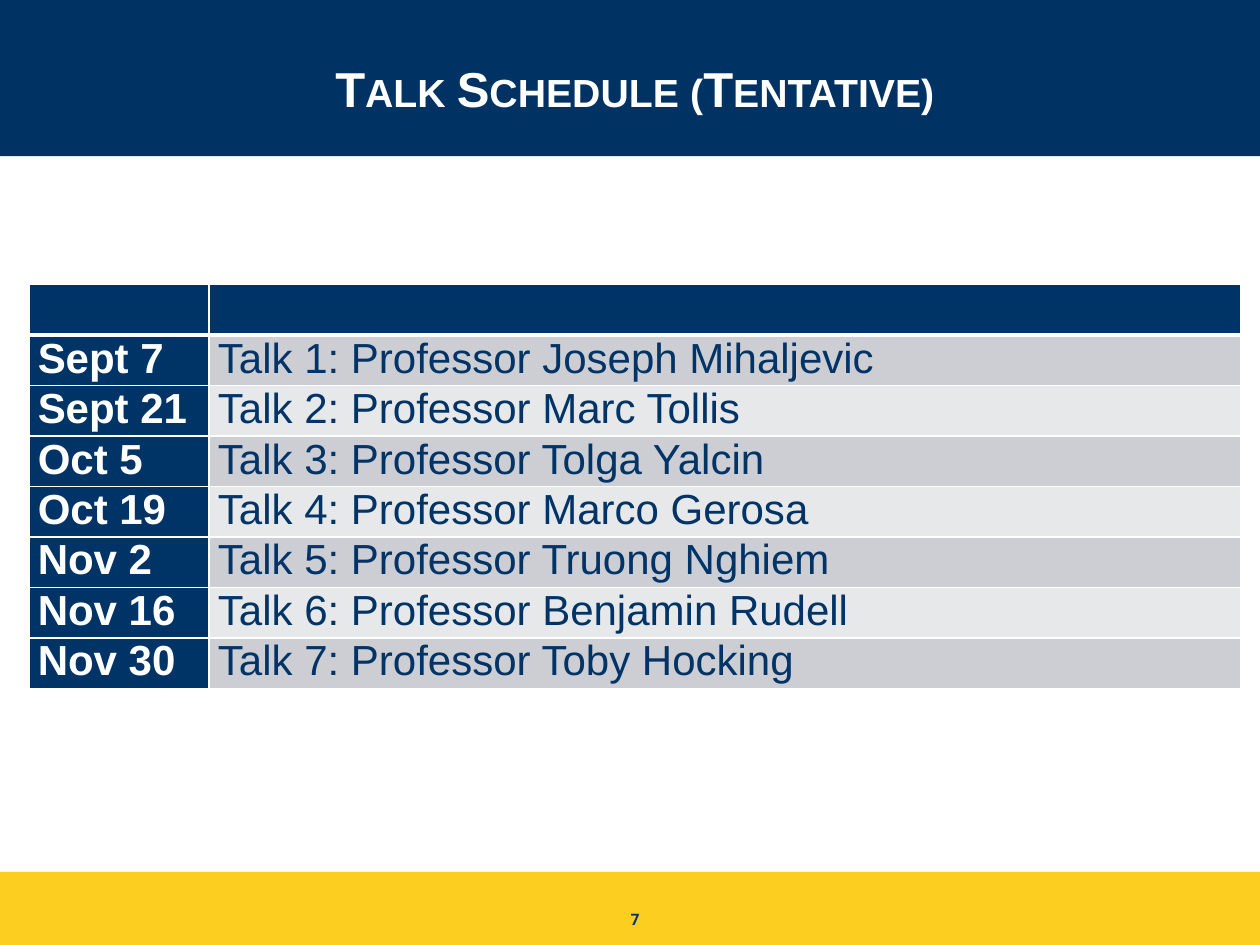
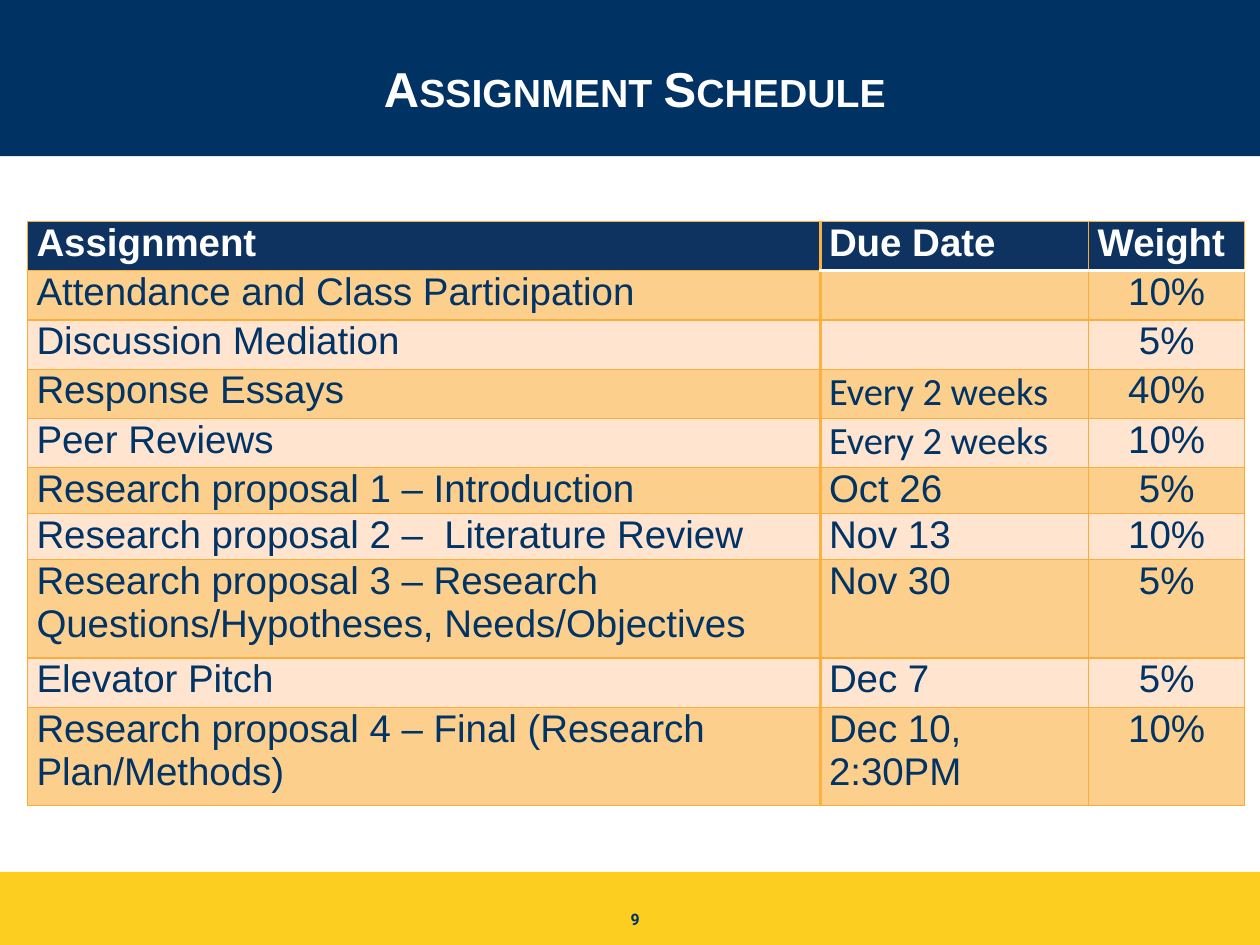
from lxml.etree import SubElement as Sub
from pptx import Presentation
from pptx.dml.color import RGBColor
from pptx.enum.shapes import MSO_SHAPE as Shape
from pptx.enum.text import MSO_ANCHOR as Anchor, PP_ALIGN as Align
from pptx.oxml import parse_xml
from pptx.oxml.ns import nsdecls, qn
from pptx.util import Inches, Pt

NAVY, GOLD, WHITE, INK = "003264", "FBCE20", "FFFFFF", "003366"
GREYS = ("CCCED3", "E7E8EA")
HEAD, AMBER, PEACH, RULE = "0E3361", "FBB040", "FFE5D0", "FAAD3A"

TALKS = [
    ("Sept 7", "Joseph Mihaljevic"),
    ("Sept 21", "Marc Tollis"),
    ("Oct 5", "Tolga Yalcin"),
    ("Oct 19", "Marco Gerosa"),
    ("Nov 2", "Truong Nghiem"),
    ("Nov 16", "Benjamin Rudell"),
    ("Nov 30", "Toby Hocking"),
]

TASKS = [
    ("Assignment", "Due Date", "Weight ", 0.39),
    ("Attendance and Class Participation", "", "10%", 0.39),
    ("Discussion Mediation", "", "5%", 0.39),
    ("Response Essays", "Every 2 weeks", "40%", 0.39),
    ("Peer Reviews", "Every 2 weeks", "10%", 0.39),
    ("Research proposal 1 – Introduction", "Oct 26", "5%", 0.35),
    ("Research proposal 2 –  Literature Review", "Nov 13", "10%", 0.35),
    ("Research proposal 3 – Research Questions/Hypotheses, Needs/Objectives",
     "Nov 30", "5%", 0.78),
    ("Elevator Pitch", "Dec 7", "5%", 0.39),
    ("Research proposal 4 – Final (Research Plan/Methods)",
     "Dec 10, 2:30PM", "10%", 0.78),
]


def rgb(code):
    """Turn a hex string into a colour."""
    return RGBColor.from_string(code)


def write(frame, text, size, color, bold=False, font="Arial", align=Align.LEFT):
    """Add one formatted run to the first paragraph of a text frame."""
    para = frame.paragraphs[0]
    para.alignment = align
    run = para.add_run()
    run.text = text
    run.font.size = Pt(size)
    run.font.name = font
    run.font.bold = bold
    run.font.color.rgb = rgb(color)
    return run


def band(slide, box, color):
    """Draw a plain coloured bar."""
    bar = slide.shapes.add_shape(Shape.RECTANGLE, *map(Inches, box))
    bar.shadow.inherit = False
    bar.fill.solid()
    bar.fill.fore_color.rgb = rgb(color)
    bar.line.fill.background()


def start(deck, name, page):
    """Add a slide with its bands, title and page number."""
    slide = deck.slides.add_slide(deck.slide_layouts[5])
    band(slide, (0, 6.92, 10, 0.58), GOLD)
    band(slide, (0, 0, 10, 1.24), NAVY)
    title = slide.shapes.title
    slide.shapes._spTree.append(title._element)
    title.left, title.top, title.width, title.height = map(
        Inches, (0.5, 0.16, 9.08, 1.08))
    title.text_frame.vertical_anchor = Anchor.MIDDLE
    run = write(title.text_frame, name, 28, WHITE, True, align=Align.CENTER)
    run.font._element.set("cap", "small")
    foot = slide.shapes.add_textbox(*map(Inches, (4, 7.17, 2.08, 0.33)))
    foot.text_frame.word_wrap = True
    write(foot.text_frame, str(page), 9, NAVY, True, "Roboto", Align.CENTER)
    return slide


def grid(slide, box, cols, rows):
    """Add a table with the given column widths and row heights."""
    table = slide.shapes.add_table(
        len(rows), len(cols), *map(Inches, box)).table
    table.horz_banding = False
    for col, wide in zip(table.columns, cols):
        col.width = Inches(wide)
    for row, high in zip(table.rows, rows):
        row.height = Inches(high)
    return table


def paint(cell, color, edges, alpha=None):
    """Set the insets, fill and four edges (left, right, top, bottom)."""
    cell.margin_left = cell.margin_right = Inches(0.07)
    cell.margin_top = cell.margin_bottom = 0
    cell.fill.solid()
    cell.fill.fore_color.rgb = rgb(color)
    props = cell._tc.get_or_add_tcPr()
    if alpha:
        tone = props.find(".//" + qn("a:srgbClr"))
        Sub(tone, qn("a:alpha")).set("val", str(alpha * 1000))
    for spot, (side, (hue, wide)) in enumerate(zip("LRTB", edges)):
        props.insert(spot, parse_xml(
            f'<a:ln{side} {nsdecls("a")} w="{Pt(wide)}"><a:solidFill>'
            f'<a:srgbClr val="{hue}"/></a:solidFill></a:ln{side}>'))


def talks(slide, box):
    """Fill the box with the dates and speakers."""
    rows = [("", "")] + [(day, f"Talk {num}: Professor {name}")
                         for num, (day, name) in enumerate(TALKS, 1)]
    table = grid(slide, box, (1.43, box[2] - 1.43),
                 [0.4] + [0.37] * len(TALKS))
    thin, thick = (WHITE, 1), (WHITE, 3)
    for r, row in enumerate(rows):
        edges = (thin, thin, thick if r == 1 else thin,
                 thick if r == 0 else thin)
        for c, text in enumerate(row):
            cell = table.cell(r, c)
            dark = r == 0 or c == 0
            paint(cell, INK if dark else GREYS[(r - 1) % 2], edges)
            if text:
                write(cell.text_frame, text, 24, WHITE if dark else INK, dark)


def tasks(slide, box):
    """Fill the box with the assignments, due dates and weights."""
    table = grid(slide, box, (6.29, 2.13, 1.24), [row[-1] for row in TASKS])
    thin, thick, pale = (RULE, 0.75), (AMBER, 2), (WHITE, 2)
    for r, row in enumerate(TASKS):
        for c, text in enumerate(row[:3]):
            cell = table.cell(r, c)
            edges = (thick if c == 1 else thin, thick if c == 0 else thin,
                     pale if r == 1 and c else thin,
                     pale if r == 0 and c else thin)
            if r == 0:
                paint(cell, HEAD, edges)
            elif r % 2:
                paint(cell, AMBER, edges, 60)
            else:
                paint(cell, PEACH, edges)
            if text:
                write(cell.text_frame, text, 22, INK if r else WHITE, r == 0,
                      "Calibri" if text.startswith("Every") else "Arial",
                      Align.CENTER if c == 2 else Align.LEFT)


def main():
    """Build and save the deck."""
    deck = Presentation()
    deck.slide_width, deck.slide_height = Inches(10), Inches(7.5)
    talks(start(deck, "Talk Schedule (Tentative)", 7), (0.23, 2.26, 9.62, 3))
    tasks(start(deck, "Assignment Schedule", 9), (0.22, 1.76, 9.66, 4.6))
    deck.save("out.pptx")


if __name__ == "__main__":
    main()
